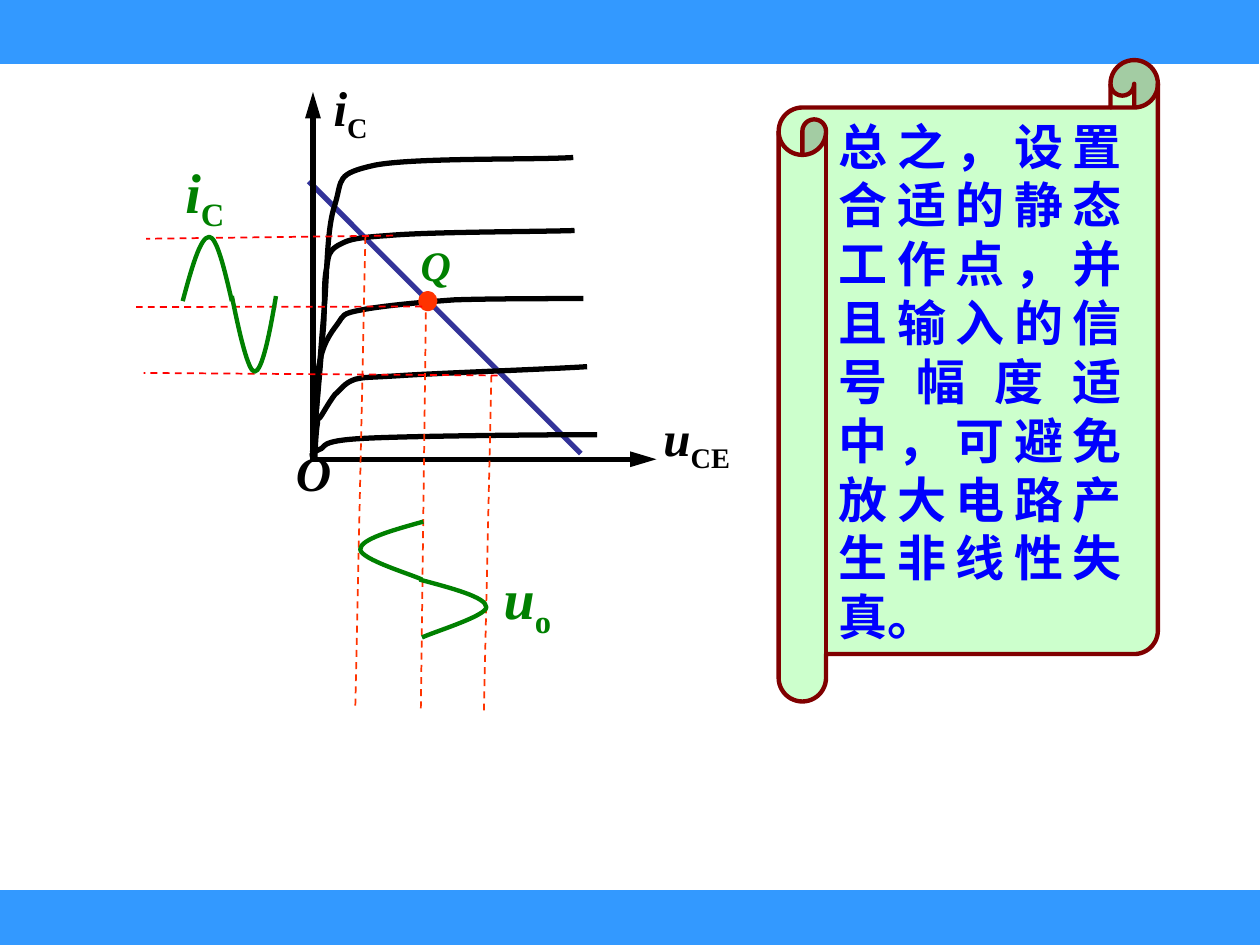
from lxml import etree
from pptx import Presentation
from pptx.dml.color import RGBColor
from pptx.enum.dml import MSO_LINE
from pptx.enum.shapes import MSO_CONNECTOR, MSO_SHAPE
from pptx.enum.text import MSO_ANCHOR, MSO_AUTO_SIZE, PP_ALIGN
from pptx.oxml.ns import qn
from pptx.util import Inches, Pt

RECT, OVAL, SCROLL = MSO_SHAPE.RECTANGLE, MSO_SHAPE.OVAL, MSO_SHAPE.HORIZONTAL_SCROLL
STRAIGHT, DASH = MSO_CONNECTOR.STRAIGHT, MSO_LINE.DASH
TOP, MIDDLE = MSO_ANCHOR.TOP, MSO_ANCHOR.MIDDLE
LEFT, CENTER, JUSTIFY = PP_ALIGN.LEFT, PP_ALIGN.CENTER, PP_ALIGN.JUSTIFY
GROW = MSO_AUTO_SIZE.SHAPE_TO_FIT_TEXT

BLACK = RGBColor(0x00, 0x00, 0x00)
SKY = RGBColor(0x33, 0x99, 0xFF)
NAVY = RGBColor(0x33, 0x33, 0x99)
GREEN = RGBColor(0x00, 0x80, 0x00)
RED = RGBColor(0xFF, 0x00, 0x00)
ORANGE = RGBColor(0xFF, 0x33, 0x00)
MINT = RGBColor(0xCC, 0xFF, 0xCC)
MAROON = RGBColor(0x80, 0x00, 0x00)
BLUE = RGBColor(0x00, 0x00, 0xFF)

SERIF, SANS = "Times New Roman", "Noto Sans CJK SC"
COLS, ROWS = 100, 75
CELL = Inches(10) // COLS

# Each curve: a start, then two controls and an end for every cubic, in cells.
OUTPUT = [
    [(24.6, 36.2), (24.9, 36.2), (24.6, 36), (25.3, 35.7), (26, 35.5), (25.1, 35),
     (28.8, 34.8), (32.4, 34.6), (43.5, 34.5), (47.4, 34.5)],
    [(25, 36.3), (25, 35.8), (25.1, 34.1), (25.2, 33.6), (25.2, 33), (25.3, 33.4),
     (25.5, 33), (25.7, 32.7), (26.2, 31.8), (26.6, 31.3), (27.1, 30.9), (27.3, 30.4),
     (28.2, 30.1), (29.1, 29.9), (28.9, 30), (32, 29.8), (35.1, 29.6), (43.6, 29.3),
     (46.6, 29.1)],
    [(24.8, 36.3), (24.9, 35.1), (25, 30.8), (25.3, 29.1), (25.6, 27.3), (26.2, 26.5),
     (26.8, 25.7), (27.3, 25), (27.1, 24.9), (28.7, 24.6), (30.2, 24.3), (33.2, 24),
     (36.1, 23.8), (39, 23.7), (44.2, 23.7), (46.3, 23.7)],
    [(24.8, 35.9), (25, 34.2), (25.5, 28.1), (25.7, 25.7), (25.8, 23.3), (25.7, 22.4),
     (25.9, 21.4), (26.1, 20.3), (26, 20), (26.8, 19.5), (27.6, 19.1), (27.7, 18.9),
     (30.8, 18.7), (34, 18.4), (42.6, 18.4), (45.6, 18.3)],
    [(24.8, 36.3), (25, 34.4), (25.4, 28.3), (25.7, 25), (26, 21.7), (25.9, 18.2),
     (26.6, 16.2), (27.2, 14.2), (26.6, 13.8), (29.8, 13.1), (33, 12.5), (42.3, 12.7),
     (45.5, 12.5)],
]
VOLTAGE = [
    [(33.3, 46), (35.9, 46.7), (38.6, 47.4), (38.6, 48.2), (38.6, 48.9), (34.3, 50.2),
     (33.5, 50.6)],
    [(33.6, 41.4), (31.1, 42.1), (28.6, 42.8), (28.6, 43.6), (28.6, 44.4), (32.7, 45.6),
     (33.5, 46)],
]
CURRENT = [
    [(21.9, 23.5), (21.4, 26.5), (20.8, 29.5), (20.2, 29.5), (19.7, 29.5), (19, 26.5),
     (18.4, 23.5)],
    [(18.4, 23.9), (17.8, 21.3), (17.2, 18.8), (16.6, 18.8), (15.9, 18.8), (15.2, 21.3),
     (14.5, 23.9)],
]
DROPS = [((29, 18.8), (28.2, 56.2)), ((33.8, 24.8), (33.4, 56.5)),
         ((39, 29.8), (38.4, 56.7))]
LEVELS = [((31.2, 18.7), (11.6, 18.95)), ((33.5, 24.33), (10.8, 24.37)),
          ((39.5, 29.8), (11.4, 29.6))]
ADVICE = "总之，设置合适的静态工作点，并且输入的信号幅度适中，可避免放大电路产生非线性失真。"


def cells(*nums):
    return [round(n * CELL) for n in nums]


def shape(slide, kind, box, fill, edge, width):
    item = slide.shapes.add_shape(kind, *cells(*box))
    item.shadow.inherit = False
    item.fill.solid()
    item.fill.fore_color.rgb = fill
    item.line.color.rgb = edge
    item.line.width = Pt(width)
    return item


def line(slide, start, end, color, width=3, dash=False, arrow=False):
    item = slide.shapes.add_connector(STRAIGHT, *cells(*start, *end))
    item.line.color.rgb = color
    item.line.width = Pt(width)
    if dash:
        item.line.dash_style = DASH
    if arrow:
        etree.SubElement(item.line._get_or_add_ln(), qn("a:tailEnd"),
                         type="triangle", w="med", len="lg")
    etree.SubElement(item._element.spPr, qn("a:effectLst"))


def bend(item):
    """Turn every three straight segments of a freeform into one cubic."""
    legs = list(item._element.iter(qn("a:lnTo")))
    for i in range(0, len(legs), 3):
        cubic = etree.Element(qn("a:cubicBezTo"))
        legs[i].addprevious(cubic)
        for leg in legs[i:i + 3]:
            cubic.append(leg[0])
            leg.getparent().remove(leg)


def curve(slide, knots, color, width):
    points = [cells(*knot) for knot in knots]
    pen = slide.shapes.build_freeform(*points[0])
    pen.add_line_segments(points[1:], close=False)
    item = pen.convert_to_shape()
    bend(item)
    item.shadow.inherit = False
    item.fill.background()
    item.line.color.rgb = color
    item.line.width = Pt(width)


def write(item, text, sub="", size=28, color=BLACK, font=SERIF, italic=True,
          align=LEFT, anchor=MIDDLE, wrap=True):
    """Fill a shape with bold text and an optional subscript."""
    frame = item.text_frame
    frame.word_wrap = wrap
    frame.auto_size = GROW
    frame.vertical_anchor = anchor
    para = frame.paragraphs[0]
    para.alignment = align
    para._p.get_or_add_pPr().set("hangingPunct", "0")
    for part, low in ((text, False), (sub, True)):
        if not part:
            continue
        run = para.add_run()
        run.text = part
        run.font.name = font
        run.font.size = Pt(size)
        run.font.bold = True
        run.font.italic = italic and not low
        run.font.color.rgb = color
        props = run._r.get_or_add_rPr()
        etree.SubElement(props, qn("a:ea"), typeface=font)
        if low:
            props.set("baseline", "-25000")


def label(slide, box, text, **style):
    write(slide.shapes.add_textbox(*cells(*box)), text, **style)


def graph(slide):
    line(slide, (24.5, 14.4), (46.1, 36), NAVY)
    label(slide, (25.5, 5.95, 7.7, 5.7), "i", sub="C")
    label(slide, (51.4, 32.15, 7.8, 5.7), "u", sub="CE", align=CENTER, wrap=False)
    line(slide, (24.6, 36.45), (52.1, 36.45), BLACK, arrow=True)
    line(slide, (24.84, 36.4), (24.84, 7.3), BLACK, arrow=True)
    for knots in OUTPUT:
        curve(slide, knots, BLACK, 3)
    label(slide, (22.5, 34.65, 4.8, 5.7), "O", anchor=TOP, wrap=False)
    shape(slide, OVAL, (33.4, 23.3, 1.1, 1.2), ORANGE, ORANGE, 3)
    label(slide, (32.4, 18.5, 4.4, 5), "Q", size=24, color=GREEN, anchor=TOP, wrap=False)


def signal(slide, guides, tint, waves, box, text, sub):
    """Draw a sine wave with its dashed guides and its label."""
    for start, end in guides:
        line(slide, start, end, tint, width=1, dash=True)
    for knots in waves:
        curve(slide, knots, GREEN, 2.5)
    label(slide, box, text, sub=sub, size=32, color=GREEN, align=CENTER)


def main():
    deck = Presentation()
    deck.slide_width, deck.slide_height = COLS * CELL, ROWS * CELL
    slide = deck.slides.add_slide(deck.slide_layouts[6])
    shape(slide, RECT, (0.05, 70.83, 99.9, 4.2), SKY, SKY, 3)
    shape(slide, RECT, (0, -0.1, 99.9, 5.16), SKY, SKY, 0)
    graph(slide)
    signal(slide, DROPS, ORANGE, VOLTAGE, (37.15, 44.65, 9.4, 6.3), "u", "o")
    signal(slide, LEVELS, RED, CURRENT, (11.55, 12.35, 9.4, 6.3), "i", "C")
    scroll = shape(slide, SCROLL, (61.8, 4.77, 30.1, 50.9), MINT, MAROON, 2.5)
    scroll.adjustments[0] = 0.125
    write(scroll, ADVICE, color=BLUE, font=SANS, italic=False, align=JUSTIFY)
    deck.save("out.pptx")


if __name__ == "__main__":
    main()
